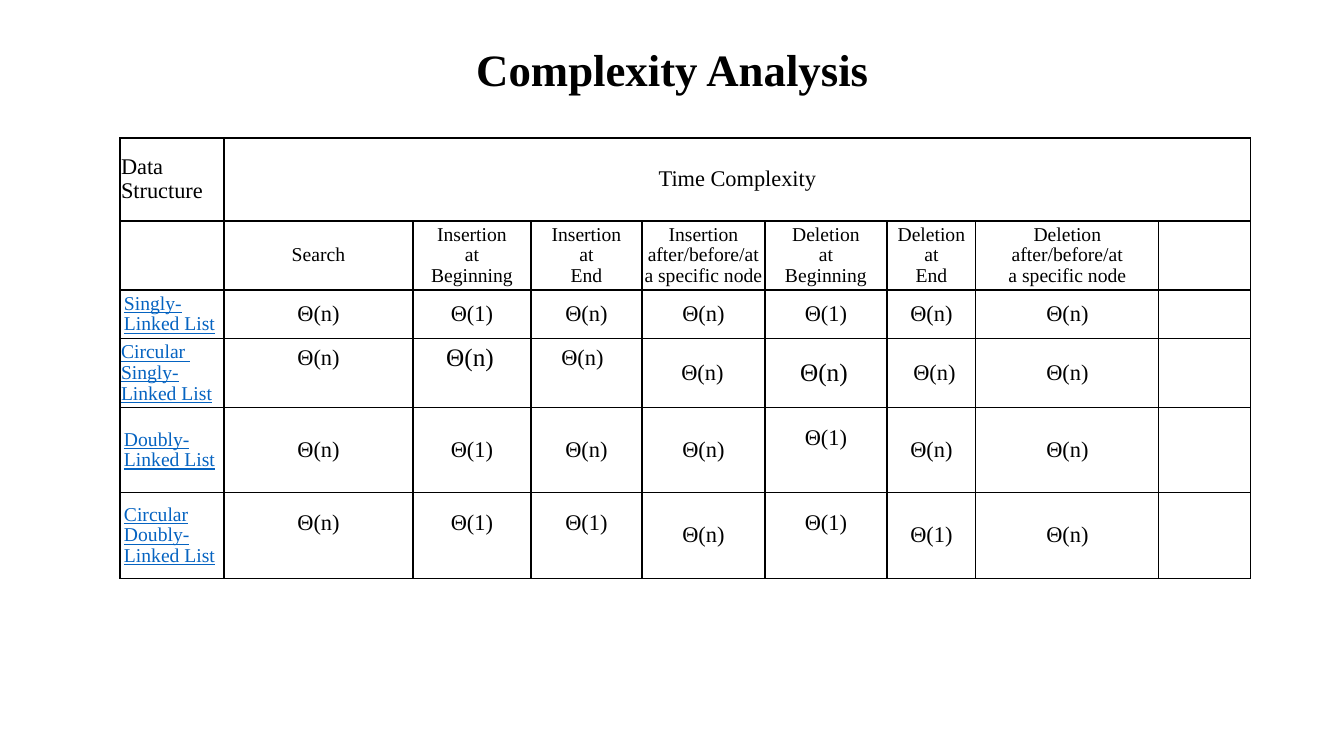
from lxml import etree
from pptx import Presentation
from pptx import util as u
from pptx.dml.color import RGBColor
from pptx.enum import text
from pptx.oxml import ns

PX = 9071  # EMU in one pixel
BLACK = RGBColor(0x00, 0x00, 0x00)
LINK = RGBColor(0x05, 0x63, 0xC1)
MID = text.MSO_ANCHOR.MIDDLE
LEFT, CENTER = text.PP_ALIGN.LEFT, text.PP_ALIGN.CENTER

COLS = [104, 189, 118, 111, 123, 122, 89, 183, 92]
ROWS = [83, 68, 47, 68, 85, 86]
HEADS = ["Search", "Insertion\nat\nBeginning", "Insertion\nat\nEnd",
         "Insertion after/before/at\na specific node",
         "Deletion\nat\nBeginning", "Deletion\nat\nEnd",
         "Deletion after/before/at\na specific node"]
COSTS = [("Singly-\nLinked List", "n1nn1nn"),
         ("Circular \nSingly-\nLinked List", "nnnnnnn"),
         ("Doubly-\nLinked List", "n1nn1nn"),
         ("Circular Doubly-\nLinked List", "n11n11n")]
BIG = {(3, 2), (3, 5)}
# (row, column): pixels the value sits above the middle of its cell
LIFT = {(3, 1): 15, (3, 2): 15, (3, 3): 15, (4, 5): 12,
        (5, 1): 12, (5, 2): 12, (5, 3): 12, (5, 5): 12}
# (row, column): pixels the value sits right of the middle of its cell
SHIFT = {(3, 2): -2, (3, 3): -4, (3, 4): -1, (3, 5): -2, (3, 6): 3}


def px(n):
    """Turn pixels into EMU."""
    return u.Emu(n * PX)


class Deck:
    """Holds the style and the current slide."""

    def __init__(self, font):
        """Start a deck with one blank slide."""
        self.font = font
        self.prs = Presentation()
        self.prs.slide_width, self.prs.slide_height = px(1344), px(756)
        self.slide = self.prs.slides.add_slide(self.prs.slide_layouts[6])

    def label(self, frame, words, size, color=BLACK, align=CENTER,
              space=0.95, bold=False, line=False):
        """Fill a text frame, one paragraph a line."""
        frame.text = words
        for para in frame.paragraphs:
            para.alignment, para.line_spacing = align, space
            font = para.font
            font.name, font.size = self.font, u.Pt(size)
            font.bold, font.underline = bold, line
            font.color.rgb = color

    def title(self, words, x, y, w, h):
        """Add the bold heading."""
        frame = self.slide.shapes.add_textbox(*map(px, (x, y, w, h))).text_frame
        frame.word_wrap, frame.vertical_anchor = True, MID
        self.label(frame, words, 32, space=0.9, bold=True)

    def table(self, x, y, cols, rows):
        """Add an unfilled table with thin black borders."""
        grid = self.slide.shapes.add_table(
            len(rows), len(cols), *map(px, (x, y, sum(cols), sum(rows)))).table
        grid.first_row = grid.horz_banding = False
        for col, w in zip(grid.columns, cols):
            col.width = px(w)
        for row, h in zip(grid.rows, rows):
            row.height = px(h)
        for cell in grid.iter_cells():
            self.border(cell)
            cell.fill.background()
            cell.vertical_anchor = MID
            self.inset(cell, 1, 1)
        return grid

    def border(self, cell):
        """Draw the four edges of a cell."""
        props = cell._tc.get_or_add_tcPr()
        for side in ("a:lnL", "a:lnR", "a:lnT", "a:lnB"):
            edge = etree.SubElement(props, ns.qn(side), w=str(u.Pt(1)))
            fill = etree.SubElement(edge, ns.qn("a:solidFill"))
            etree.SubElement(fill, ns.qn("a:srgbClr"), val=str(BLACK))

    def inset(self, cell, side, end, lift=0, shift=0):
        """Set cell margins, moving the text up by lift and right by shift."""
        cell.margin_left = px(side + 2 * max(shift, 0))
        cell.margin_right = px(side + 2 * max(-shift, 0))
        cell.margin_top, cell.margin_bottom = px(end), px(end + 2 * lift)


deck = Deck("Times New Roman")
deck.title("Complexity Analysis", 93, 40, 1159, 64)
grid = deck.table(120, 138, COLS, ROWS)

grid.cell(0, 1).merge(grid.cell(0, 8))
deck.label(grid.cell(0, 0).text_frame, "Data Structure", 16, align=LEFT)
deck.label(grid.cell(0, 1).text_frame, "Time Complexity", 16)
for c, head in enumerate(HEADS, 1):
    deck.label(grid.cell(1, c).text_frame, head, 14)

for r, (name, costs) in enumerate(COSTS, 2):
    side, end = (1, 1) if r == 3 else (4, 2)
    deck.inset(grid.cell(r, 0), side, end)
    deck.label(grid.cell(r, 0).text_frame, name, 14, LINK, LEFT, line=True)
    for c, cost in enumerate(costs, 1):
        spot, cell = (r, c), grid.cell(r, c)
        deck.inset(cell, side, end, LIFT.get(spot, 0), SHIFT.get(spot, 0))
        deck.label(cell.text_frame, f"Θ({cost})", 18 if spot in BIG else 16)

deck.prs.save("out.pptx")
